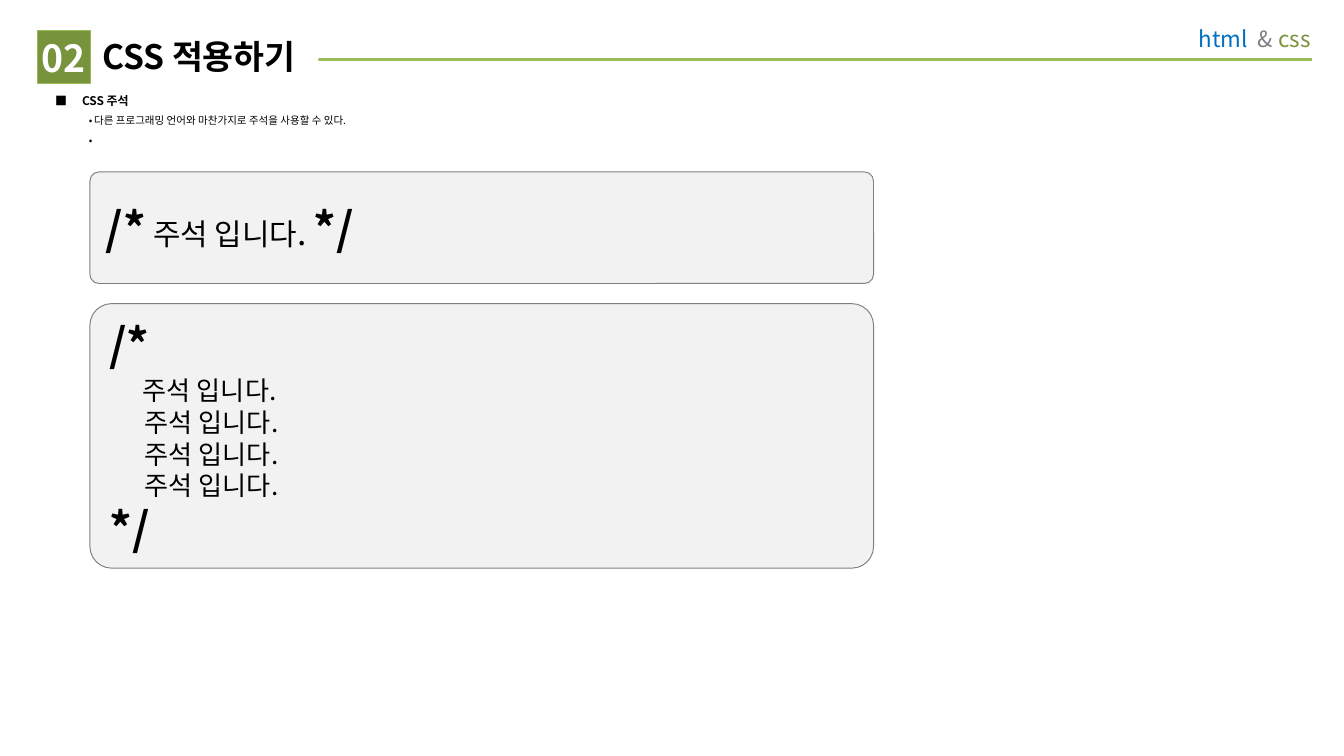
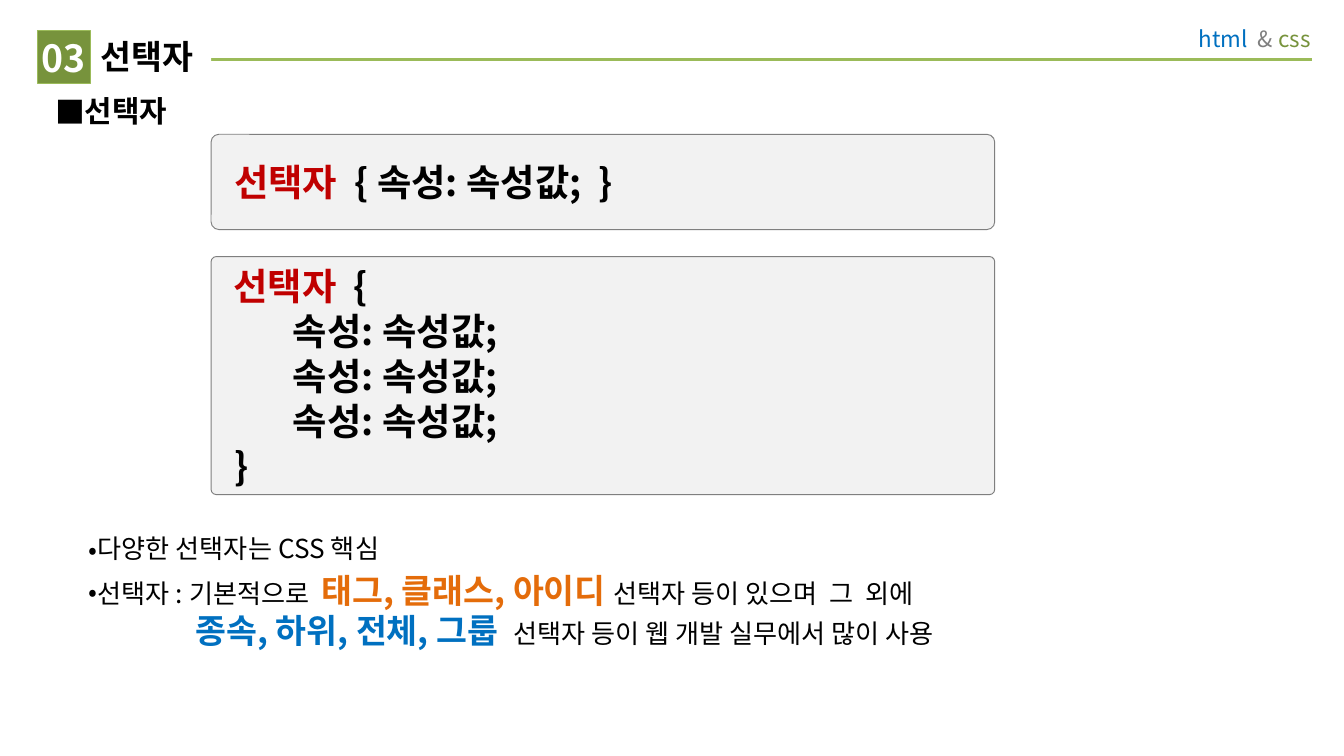
from lxml import etree
from pptx import Presentation
from pptx.dml import color as dml
from pptx.enum import shapes as es, text as et
from pptx.oxml import ns
from pptx.util import Cm, Pt

FONT = "Noto Sans CJK KR"
BLACK, WHITE, GRAY, PALE = "000000", "FFFFFF", "7F7F7F", "F2F2F2"
GREEN, LIME, BLUE = "77933C", "9BBB59", "0070C0"
RED, ORANGE = "C00000", "E46C0A"
WIDE = 14.81  # width of every code panel, in cm


def rgb(code):
    return dml.RGBColor.from_string(code)


def sub(node, tag, **attrs):
    return etree.SubElement(node, ns.qn("a:" + tag), attrs)


def place(shape, box):
    shape.left, shape.top, shape.width, shape.height = map(Cm, box)


def paint(shape, fill, line=None, width=0.5):
    shape.fill.solid()
    shape.fill.fore_color.rgb = rgb(fill)
    if line:
        shape.line.color.rgb = rgb(line)
        shape.line.width = Pt(width)


def setup(shape, pads=(0.25, 0.13, 0.25, 0.13), anchor=et.MSO_ANCHOR.TOP):
    frame = shape.text_frame
    frame.word_wrap = True
    frame.auto_size = et.MSO_AUTO_SIZE.NONE
    frame.vertical_anchor = anchor
    (frame.margin_left, frame.margin_top,
     frame.margin_right, frame.margin_bottom) = map(Cm, pads)
    return frame


def write(par, runs):
    """Add runs (text, size, colour, bold); None is a line break."""
    for item in runs:
        if item is None:
            par.add_line_break()
            continue
        words, size, color, bold = item
        run = par.add_run()
        run.text = words
        font = run.font
        font.name, font.size, font.bold = FONT, Pt(size), bold
        font.color.rgb = rgb(color)
        sub(run._r.get_or_add_rPr(), "ea", typeface=FONT)


def fill(frame, rows, align=et.PP_ALIGN.LEFT):
    for i, runs in enumerate(rows):
        par = frame.add_paragraph() if i else frame.paragraphs[0]
        par.alignment = align
        write(par, runs)


def bullets(frame, items):
    """Add items (level, runs) with a bullet and a tab stop each."""
    styles = [("■", 0.51, -0.51, 4), ("•", 0.74, -0.1, 3.5)]
    for i, (level, runs) in enumerate(items):
        mark, left, hang, gap = styles[level]
        par = frame.add_paragraph() if i else frame.paragraphs[0]
        par.level = level
        par.alignment = et.PP_ALIGN.LEFT
        par.space_before = Pt(gap if i else 0)
        props = par._p.get_or_add_pPr()
        props.set("marL", str(Cm(left)))
        props.set("indent", str(Cm(hang)))
        sub(sub(props, "buClr"), "srgbClr", val=BLACK)
        sub(props, "buFont", typeface=FONT)
        sub(props, "buChar", char=mark)
        sub(sub(props, "tabLst"), "tab", pos=str(Cm(2.54)), algn="l")
        write(par, runs)


# Header: rule, course label, number badge and title
def header(slide, num, name, left, width):
    rule = slide.shapes.add_connector(
        es.MSO_CONNECTOR.STRAIGHT, Cm(24.79), Cm(1.12), Cm(1.8), Cm(1.12))
    rule.line.color.rgb = rgb(LIME)
    rule.line.width = Pt(1.5)
    sub(rule.element.spPr, "effectLst")
    rule.element.getparent().insert(2, rule.element)  # behind the title

    label = slide.shapes.add_textbox(*map(Cm, (21.11, 0.28, 3.91, 0.91)))
    fill(setup(label, (0.25, 0.2, 0.25, 0.2)),
         [[("html  ", 12, BLUE, False), ("& ", 12, GRAY, False),
           ("css", 12, GREEN, False)]], et.PP_ALIGN.RIGHT)

    title = slide.shapes.title
    place(title, (left, 0.58, width, 1))
    paint(title, WHITE)
    fill(setup(title, (0.2, 0.1, 0, 0.1)), [[(name, 18, BLACK, True)]])

    badge = slide.shapes.add_shape(
        es.MSO_SHAPE.RECTANGLE, *map(Cm, (0.71, 0.58, 1, 1)))
    badge.shadow.inherit = False
    paint(badge, GREEN, LIME, 0.25)
    fill(setup(badge, (0, 0, 0, 0), et.MSO_ANCHOR.MIDDLE),
         [[(num, 20, WHITE, True)]], et.PP_ALIGN.CENTER)


def body(slide, items):
    holder = slide.placeholders[1]
    place(holder, (0.79, 1.63, 24, 1.32))
    bullets(setup(holder), items)


def panel(slide, box, rows, curve=0.082):
    shape = slide.shapes.add_shape(
        es.MSO_SHAPE.ROUNDED_RECTANGLE, *map(Cm, box))
    shape.adjustments[0] = curve
    shape.shadow.inherit = False
    paint(shape, PALE, GRAY)
    fill(setup(shape, anchor=et.MSO_ANCHOR.MIDDLE), rows)


# Slide 1: comments
def comments(slide):
    header(slide, "02", "CSS 적용하기", 1.73, 4.29)
    body(slide, [
        (0, [("CSS 주석", 6.4, BLACK, True)]),
        (1, [("다른 프로그래밍 언어와 마찬가지로 주석을 사용할 수 있다.",
              5.6, BLACK, False)]),
        (1, [(" ", 5.6, BLACK, False)])])
    start, end = ("/*", 24, BLACK, True), ("*/", 24, BLACK, True)
    space = (" ", 18, BLACK, False)
    panel(slide, (1.7, 3.25, WIDE, 2.11), [
        [start, space, ("주석 입니다", 16, BLACK, False),
         (". ", 18, BLACK, False), end]])
    first = [("     ", 16, BLACK, False), ("주석 입니다.", 14, BLACK, False)]
    rest = [("      주석 입니다.", 14, BLACK, False)]
    panel(slide, (1.7, 5.74, WIDE, 5),
          [[start, space], first] + [rest] * 3 + [[end]])


# Slide 2: selectors
def selectors(slide):
    header(slide, "03", "선택자", 1.7, 2.29)
    body(slide, [(0, [("선택자", 16, BLACK, True)])])
    lead = [(" ", 18, BLACK, True), ("선택자  ", 20, RED, True)]
    panel(slide, (3.99, 2.54, WIDE, 1.8),
          [lead + [("{ 속성: 속성값;  }", 20, BLACK, True)]])
    rule = [("\t속성: 속성값;", 20, BLACK, True)]
    panel(slide, (3.99, 4.85, WIDE, 4.5),
          [lead + [("{", 20, BLACK, True)]] + [rule] * 3
          + [[(" }", 20, BLACK, True)]], 0.022)

    notes = slide.shapes.add_textbox(*map(Cm, (0.79, 9.93, 24, 2.79)))
    bullets(setup(notes), [
        (1, [("다양한 선택자는 CSS 핵심", 14, BLACK, False)]),
        (1, [("선택자 : 기본적으로  ", 14, BLACK, False),
             ("태그, 클래스, 아이디 ", 18, ORANGE, True),
             ("선택자 등이 있으며  그  외에", 14, BLACK, False),
             None,
             ("\t ", 14, BLACK, False),
             ("종속, 하위, 전체, 그룹  ", 18, BLUE, True),
             ("선택자 등이 웹 개발 실무에서 많이 사용", 14, BLACK, False)])])


def main():
    deck = Presentation()
    deck.slide_width, deck.slide_height = Cm(25.4), Cm(14.29)
    for build in (comments, selectors):
        build(deck.slides.add_slide(deck.slide_layouts[1]))
    deck.save("out.pptx")


if __name__ == "__main__":
    main()
